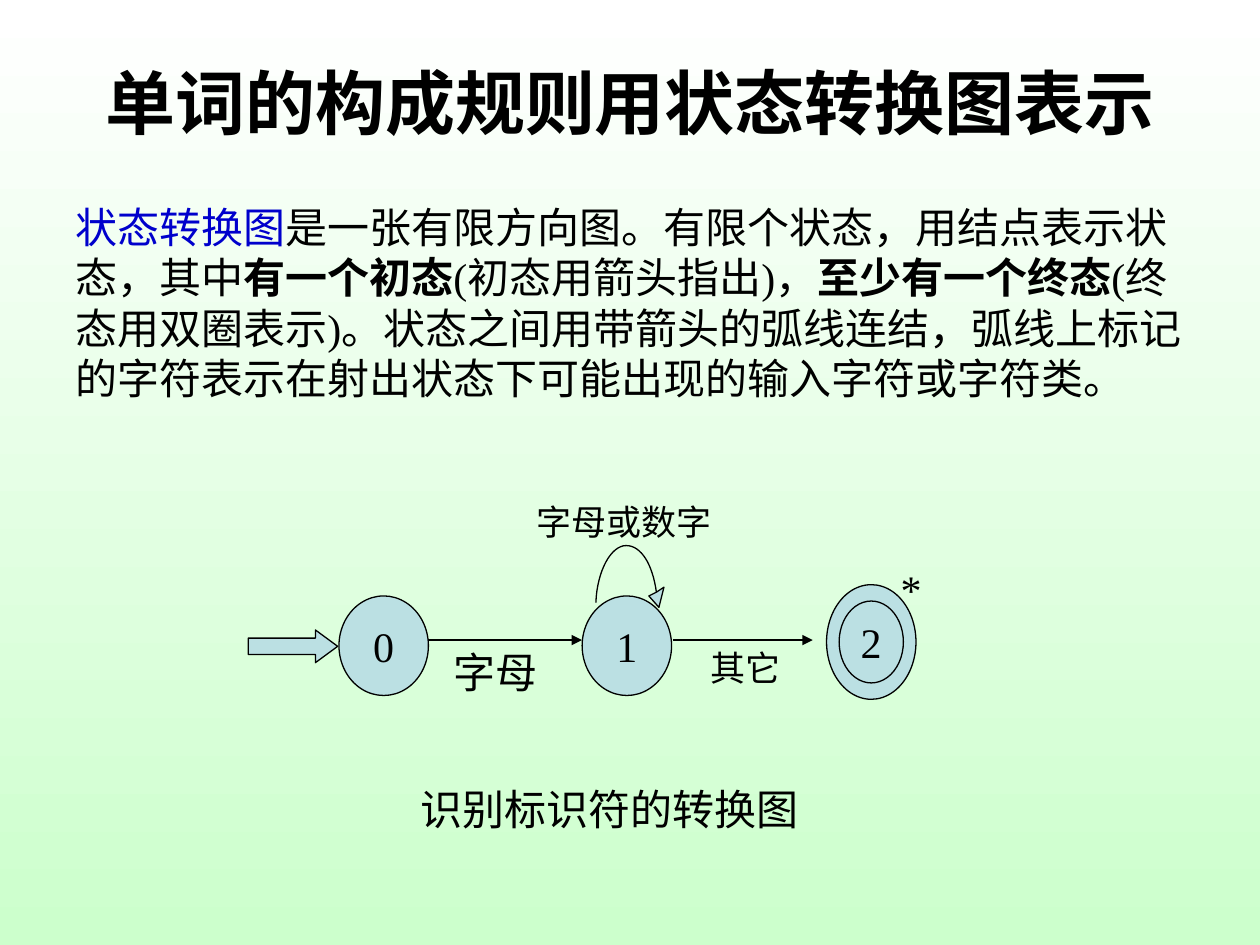
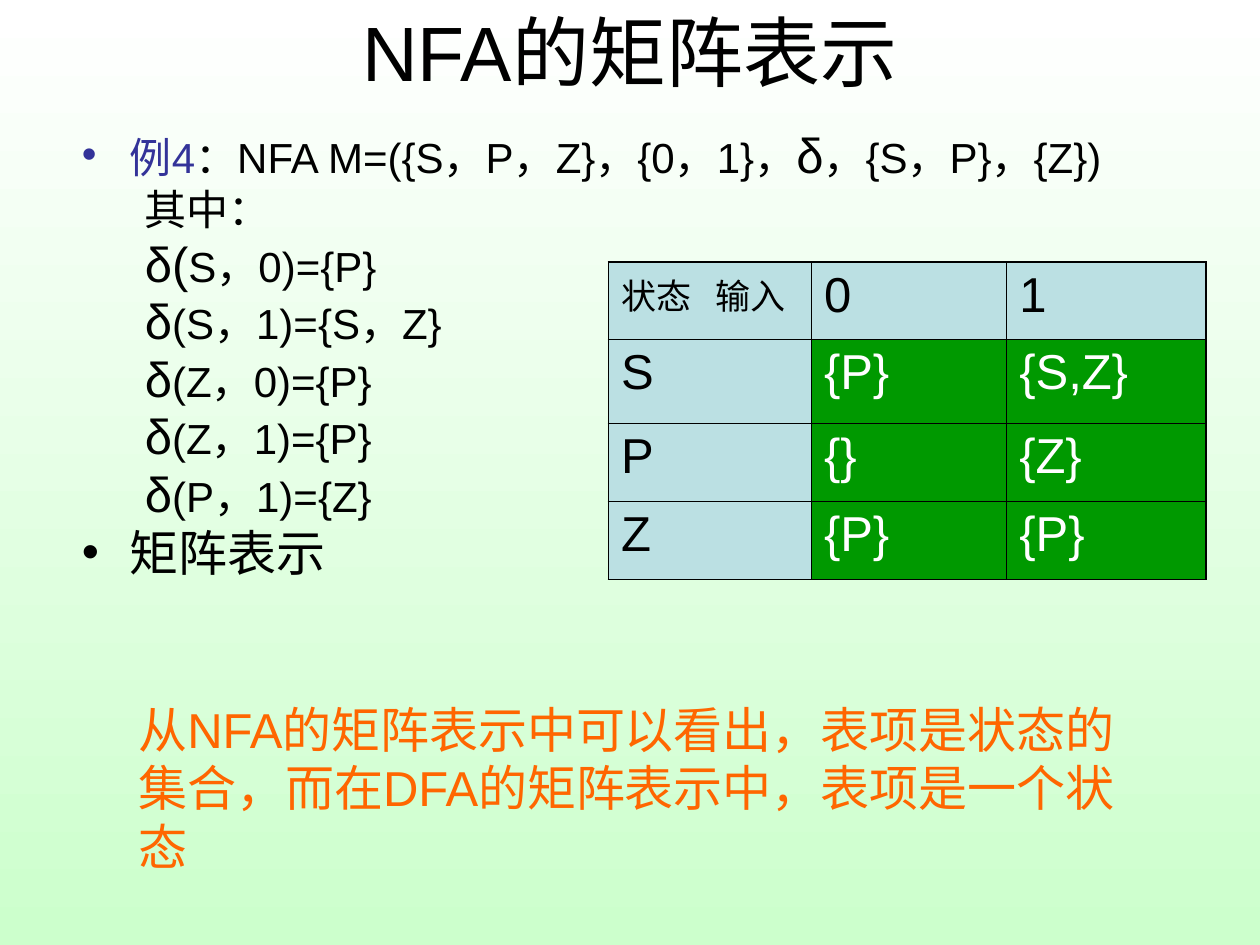
"""Build two slides on state diagrams and NFA matrices."""
import pptx
import pptx.dml.color
import pptx.enum.shapes
import pptx.enum.text
import pptx.oxml.ns
import pptx.util
from lxml import etree

Inches = pptx.util.Inches
Pt = pptx.util.Pt
qn = pptx.oxml.ns.qn
Kind = pptx.enum.shapes.MSO_SHAPE
Align = pptx.enum.text.PP_ALIGN
Anchor = pptx.enum.text.MSO_ANCHOR
Fit = pptx.enum.text.MSO_AUTO_SIZE

COLORS = {
    "ink": "000000", "white": "FFFFFF", "mint": "CCFFCC", "node": "BBE0E3",
    "term": "0000CC", "lead": "333399", "note": "FF6600", "entry": "009900",
}
SERIF, SANS = "Times New Roman", "Arial"


def rgb(name):
    """Return the named color."""
    return pptx.dml.color.RGBColor.from_string(COLORS[name])


def curve(a, b, c, d, steps=16):
    """Sample a cubic curve from a to d."""
    points = []
    for i in range(steps + 1):
        t = i / steps
        u = 1 - t
        points.append(tuple(
            u**3 * p + 3 * u * u * t * q + 3 * u * t * t * r + t**3 * s
            for p, q, r, s in zip(a, b, c, d)))
    return points


class Deck:
    """Hold the style and the current slide."""

    def __init__(self):
        """Open a deck with the shared background."""
        self.prs = pptx.Presentation()
        self.prs.slide_width, self.prs.slide_height = Inches(10), Inches(7.5)
        fill = self.prs.slide_master.background.fill
        fill.gradient()
        fill.gradient_angle = 270
        for stop, name in zip(fill.gradient_stops, ("white", "mint")):
            stop.color.rgb = rgb(name)

    def place(self, shape, left, top, width, height):
        """Move and size a shape."""
        shape.left, shape.top = Inches(left), Inches(top)
        shape.width, shape.height = Inches(width), Inches(height)

    def style(self, run, size, face, color="ink", bold=False):
        """Format one run."""
        run.font.size, run.font.name, run.font.bold = Pt(size), face, bold
        run.font.color.rgb = rgb(color)

    def add(self, para, parts, face):
        """Add formatted runs to a paragraph."""
        for text, size, *look in parts:
            run = para.add_run()
            run.text = text
            self.style(run, size, face, *look)

    def start(self, layout, title, box, size, bold=False):
        """Begin a slide with its title."""
        self.slide = self.prs.slides.add_slide(self.prs.slide_layouts[layout])
        head = self.slide.shapes.title
        self.place(head, *box)
        frame = head.text_frame
        frame.text = title
        frame.auto_size, frame.vertical_anchor = Fit.NONE, Anchor.MIDDLE
        frame.paragraphs[0].alignment = Align.CENTER
        self.style(frame.paragraphs[0].runs[0], size, SANS, "ink", bold)

    def text(self, box, parts, face=SERIF, wrap=True):
        """Add a text box of one paragraph."""
        shape = self.slide.shapes.add_textbox(*map(Inches, box))
        frame = shape.text_frame
        frame.word_wrap, frame.auto_size = wrap, Fit.SHAPE_TO_FIT_TEXT
        self.add(frame.paragraphs[0], parts, face)

    def bullets(self, box, items):
        """Fill the body placeholder; a mark color means a bullet."""
        body = self.slide.placeholders[1]
        self.place(body, *box)
        frame = body.text_frame
        frame.auto_size = Fit.NONE
        for i, (mark, parts) in enumerate(items):
            para = frame.add_paragraph() if i else frame.paragraphs[0]
            props = para._p.get_or_add_pPr()
            left, hang = (0.38, -0.38) if mark else (0.81, -0.31)
            props.set("marL", str(Inches(left)))
            props.set("indent", str(Inches(hang)))
            if mark:
                tint = etree.SubElement(props, qn("a:buClr"))
                etree.SubElement(tint, qn("a:srgbClr"), val=COLORS[mark])
                etree.SubElement(props, qn("a:buChar"), char="•")
            else:
                para.level = 1
                etree.SubElement(props, qn("a:buNone"))
            para.line_spacing = 0.8
            para.space_before = Pt(0 if i == 0 else 7 if mark else 6)
            self.add(para, parts, SANS)

    def paint(self, shape):
        """Give a shape the diagram fill and line."""
        shape.shadow.inherit = False
        shape.fill.solid()
        shape.fill.fore_color.rgb = rgb("node")
        shape.line.color.rgb = rgb("ink")
        shape.line.width = Pt(0.75)

    def shape(self, kind, box, label=""):
        """Add a preset shape with an optional label."""
        shape = self.slide.shapes.add_shape(kind, *map(Inches, box))
        self.paint(shape)
        if label:
            frame = shape.text_frame
            frame.word_wrap, frame.vertical_anchor = False, Anchor.MIDDLE
            frame.text = label
            frame.paragraphs[0].alignment = Align.CENTER
            self.style(frame.paragraphs[0].runs[0], 24, SERIF)
        return shape

    def outline(self, points):
        """Add a closed outline."""
        (x, y), *rest = points
        pen = self.slide.shapes.build_freeform(Inches(x), Inches(y))
        pen.add_line_segments([(Inches(a), Inches(b)) for a, b in rest])
        self.paint(pen.convert_to_shape())

    def arrow(self, left, right, y):
        """Add a level arrow."""
        line = self.slide.shapes.add_connector(
            pptx.enum.shapes.MSO_CONNECTOR.STRAIGHT,
            Inches(left), Inches(y), Inches(right), Inches(y))
        line.line.color.rgb = rgb("ink")
        line.line.width = Pt(0.75)
        props = line.element.spPr
        etree.SubElement(props.find(qn("a:ln")), qn("a:tailEnd"), type="triangle")
        etree.SubElement(props, qn("a:effectLst"))

    def edge(self, cell, side, width):
        """Draw one cell border."""
        props = cell._tc.get_or_add_tcPr()
        line = etree.SubElement(props, qn("a:ln" + side), w=str(Pt(width)))
        fill = etree.SubElement(line, qn("a:solidFill"))
        etree.SubElement(fill, qn("a:srgbClr"), val=COLORS["ink"])

    def table(self, spot, cols, rows, data):
        """Add a matrix with a heavy frame and a light header."""
        box = (*spot, sum(cols), sum(rows))
        table = self.slide.shapes.add_table(
            len(rows), len(cols), *map(Inches, box)).table
        table.first_row = table.horz_banding = False
        for col, width in zip(table.columns, cols):
            col.width = Inches(width)
        for row, height in zip(table.rows, rows):
            row.height = Inches(height)
        for r, line in enumerate(data):
            for c, value in enumerate(line):
                cell = table.cell(r, c)
                outer = {"L": c == 0, "R": c == len(cols) - 1,
                         "T": r == 0, "B": r == len(rows) - 1}
                for side, heavy in outer.items():
                    self.edge(cell, side, 1.08 if heavy else 0.45)
                head = r == 0 or c == 0
                cell.fill.solid()
                cell.fill.fore_color.rgb = rgb("node" if head else "entry")
                para = cell.text_frame.paragraphs[0]
                if "\t" in value:
                    tabs = etree.SubElement(para._p.get_or_add_pPr(), qn("a:tabLst"))
                    etree.SubElement(tabs, qn("a:tab"), pos=str(Inches(0.75)), algn="l")
                size = 20 if r == c == 0 else 28
                self.add(para, [(value, size, "ink" if head else "white")], SANS)


def graph(deck):
    """Build the state diagram slide."""
    deck.start(5, "单词的构成规则用状态转换图表示", (0.5, 0.3, 9, 1.01), 40, True)
    deck.text((0.5, 1.55, 9, 1.7), [
        ("状态转换图", 24, "term"),
        ("是一张有限方向图。有限个状态，用结点表示状态，其中", 24),
        ("有一个初态", 24, "ink", True),
        ("(初态用箭头指出)，", 24),
        ("至少有一个终态", 24, "ink", True),
        ("(终态用双圈表示)。状态之间用带箭头的弧线连结，"
         "弧线上标记的字符表示在射出状态下可能出现的输入字符或字符类。", 24)])
    deck.text((3.24, 6.17, 4.18, 0.5), [("识别标识符的转换图", 24)])
    deck.shape(Kind.OVAL, (6.56, 4.64, 0.71, 0.91))
    for label, box in (("0", (2.69, 4.73, 0.71, 0.79)),
                       ("1", (4.62, 4.73, 0.71, 0.79)),
                       ("2", (6.66, 4.77, 0.51, 0.65))):
        deck.shape(Kind.OVAL, box, label)
    deck.arrow(3.4, 4.62, 5.08)
    deck.arrow(5.34, 6.45, 5.08)
    for box, label, size in (((3.5, 5.08, 1.43, 0.5), "字母", 24),
                             ((4.16, 3.92, 2.14, 0.44), "字母或数字", 20),
                             ((5.54, 5.08, 1.32, 0.44), "其它", 20)):
        deck.text(box, [(label, size)])
    deck.text((7.05, 4.42, 0.36, 0.5), [("*", 24)], wrap=False)
    entry = deck.shape(Kind.RIGHT_ARROW, (1.97, 5, 0.71, 0.26))
    entry.adjustments[1] = 0.68
    arc = curve((5.21, 4.7), (5.18, 4.48), (5.09, 4.33), (4.97, 4.33))
    arc += curve((4.97, 4.33), (4.85, 4.33), (4.74, 4.53), (4.73, 4.78))[1:]
    deck.outline(arc + arc[-2::-1] + [(5.27, 4.66), (5.23, 4.82), (5.15, 4.73)])


def matrix(deck):
    """Build the NFA matrix slide."""
    deck.start(1, "NFA的矩阵表示", (0.5, 0.3, 9, 0.2), 44)
    rules = [("δ(", "S，0)={P}"), ("δ", "(S，1)={S，Z}"), ("δ", "(Z，0)={P}"),
             ("δ", "(Z，1)={P}"), ("δ", "(P，1)={Z}")]
    deck.bullets((0.55, 1.03, 9, 4.33), [
        ("lead", [("例4", 24, "lead"), ("：NFA M=({S，P，Z}，{0，1}，", 24),
                  ("δ", 28), ("，{S，P}，{Z})", 24)]),
        (None, [("其中：", 24)]),
        *[(None, [(sign, 28), (rest, 24)]) for sign, rest in rules],
        ("ink", [("矩阵表示", 28)])])
    deck.table((4.83, 2.08), (1.61, 1.55, 1.58), (0.61, 0.67, 0.62, 0.62), [
        ("状态\t输入", "0", "1"),
        ("S", "{P}", "{S,Z}"),
        ("P", "{}", "{Z}"),
        ("Z", "{P}", "{P}")])
    deck.text((1, 5.5, 8.08, 1.5), [
        ("从NFA的矩阵表示中可以看出，表项是状态的集合，"
         "而在DFA的矩阵表示中，表项是一个状态", 28, "note")], SANS)


def main():
    """Build and save the deck."""
    deck = Deck()
    graph(deck)
    matrix(deck)
    deck.prs.save("out.pptx")


if __name__ == "__main__":
    main()
